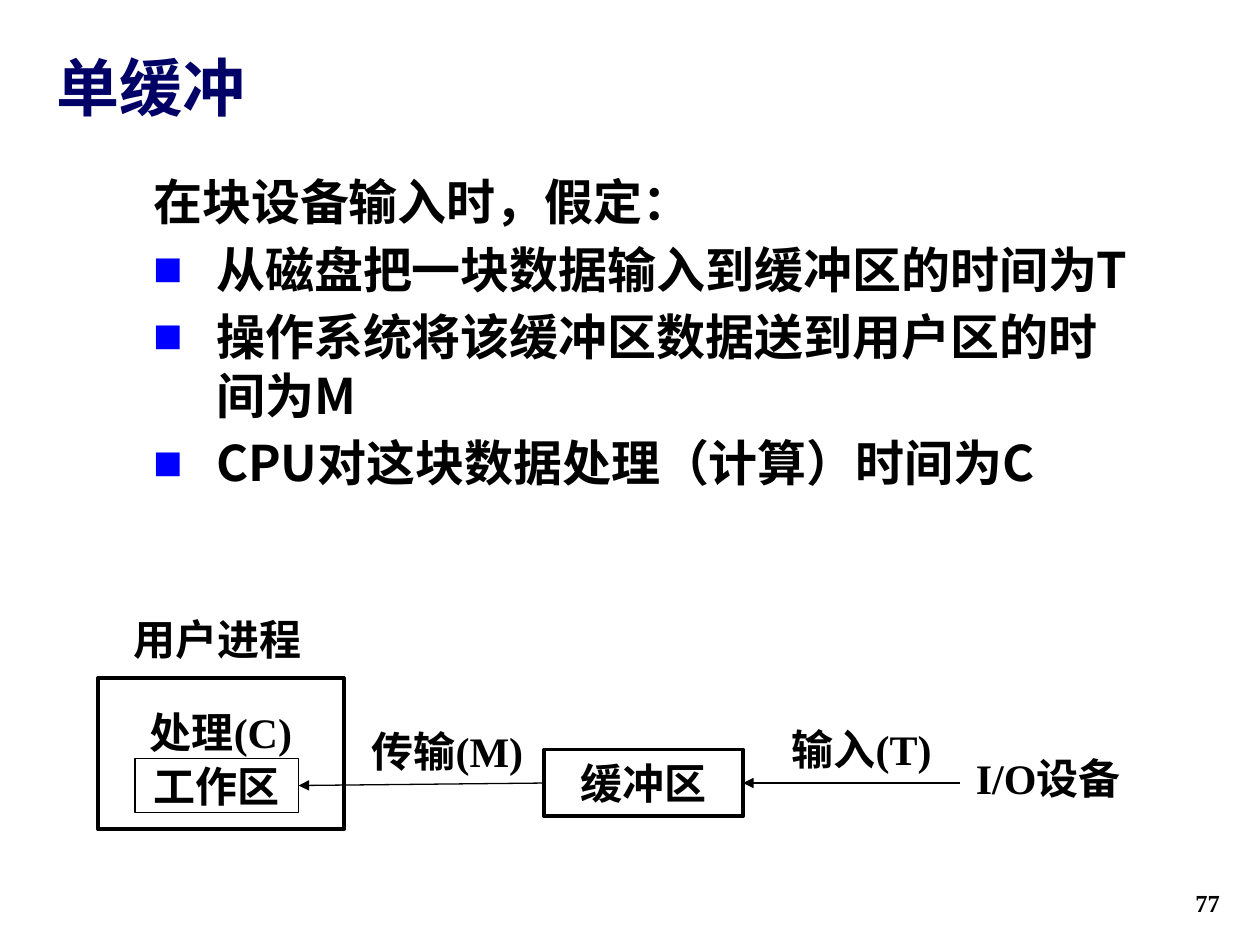
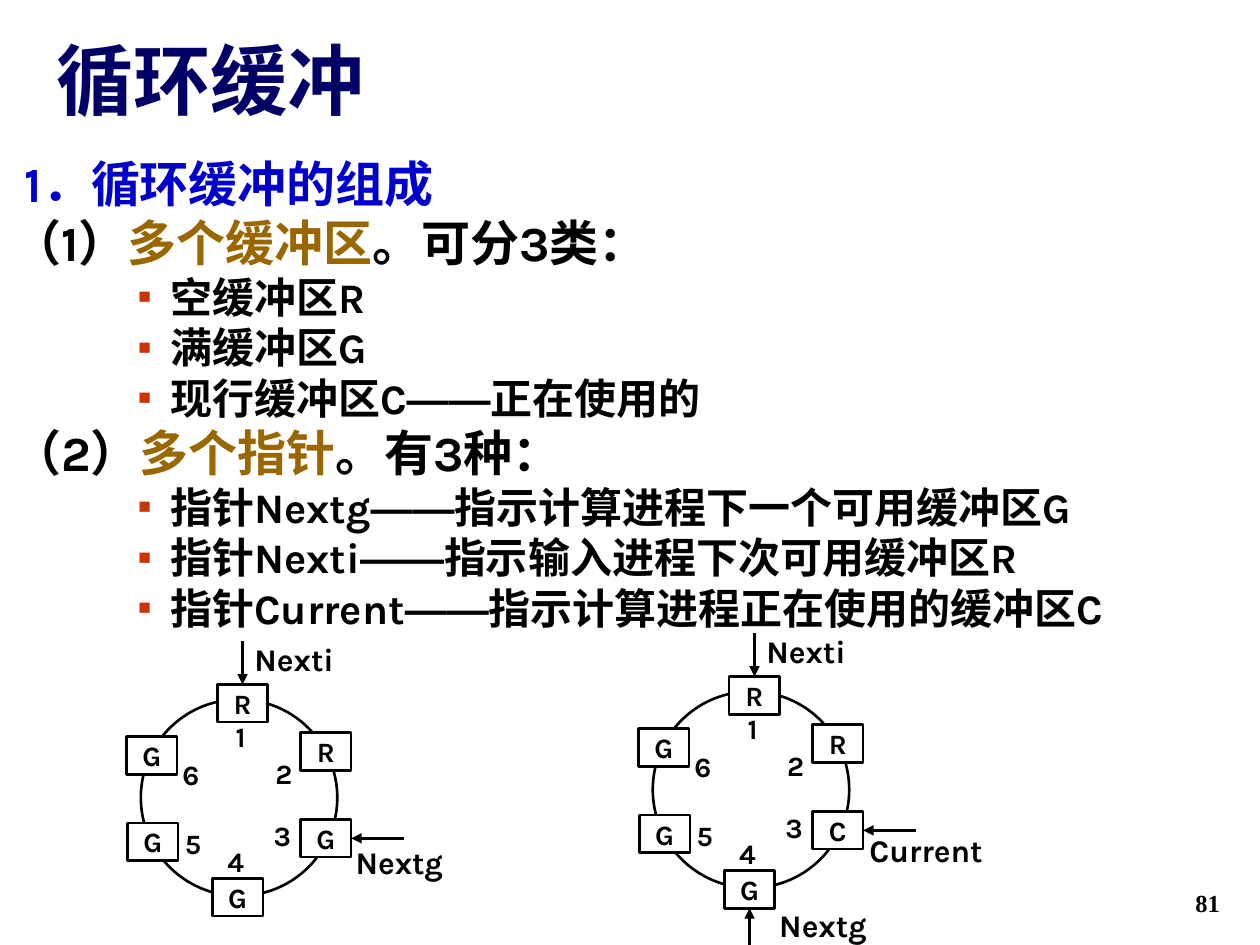
import pptx
import pptx.util
import pptx.dml.color
import pptx.enum.shapes
import pptx.enum.text
import pptx.oxml.ns
import lxml.etree

Cm, Pt = pptx.util.Cm, pptx.util.Pt
ALIGN = pptx.enum.text.PP_ALIGN
ANCHOR = pptx.enum.text.MSO_ANCHOR
SHAPE = pptx.enum.shapes.MSO_SHAPE

COLORS = {
    "title": "000066", "text": "000000", "paper": "FFFFFF",
    "heading": "0000CC", "key": "996600",
    "bullet_blue": "0000FF", "bullet_red": "CC3300",
}
CJK, KARLA, TIMES = "Noto Sans CJK SC", "Karla", "Times New Roman"
LINE_PITCH = 1.2  # line height as a multiple of the text size
TOP, LEFT, BOTTOM, RIGHT = range(4)  # connection sites of a rectangle

# Ring of buffers, in cm from the top left corner of the circle
RING = 3.96
NODE_W, NODE_H = 1.02, 0.76
NODES = [(1.54, -0.3), (3.22, 0.67), (3.22, 2.42),
         (1.44, 3.61), (-0.27, 2.49), (-0.29, 0.75)]
NUMBERS = [(1.54, 0.38), (2.41, 1.12), (2.38, 2.37),
           (1.44, 2.9), (0.58, 2.54), (0.54, 1.14)]
# Node side: x and y step from the side to the start of its arrow
POINTER_STEP = {TOP: (0, -0.88), RIGHT: (1.07, 0), BOTTOM: (0, 0.76)}


def rgb(name):
    return pptx.dml.color.RGBColor.from_string(COLORS[name])


def sub(parent, tag, **attrs):
    return lxml.etree.SubElement(parent, pptx.oxml.ns.qn(tag), **attrs)


# Text
def add_run(p, text, size, font, color="text"):
    r = p.add_run()
    r.text = text
    r.font.size, r.font.bold, r.font.name = Pt(size), True, font
    r.font.color.rgb = rgb(color)
    sub(r._r.get_or_add_rPr(), "a:ea", typeface=CJK)


def set_frame(tf, anchor=ANCHOR.TOP, inset=(0.05, 0.03), wrap=True):
    tf.word_wrap = wrap
    tf.vertical_anchor = anchor
    tf.margin_left = tf.margin_right = Cm(inset[0])
    tf.margin_top = tf.margin_bottom = Cm(inset[1])


def add_text(s, x, y, w, h, **frame):
    tf = s.shapes.add_textbox(Cm(x), Cm(y), Cm(w), Cm(h)).text_frame
    set_frame(tf, **frame)
    return tf


def add_paragraph(tf, size, margin, hang, before=0, bullet=None, scale=100):
    """Start a paragraph with a hanging indent and, if asked, a square bullet."""
    p = tf.add_paragraph() if tf.paragraphs[0].runs else tf.paragraphs[0]
    p.line_spacing, p.space_before = Pt(size * LINE_PITCH), Pt(before)
    pPr = p._p.get_or_add_pPr()
    pPr.set("marL", str(Cm(margin)))
    pPr.set("indent", str(-Cm(hang)))
    if bullet:
        sub(sub(pPr, "a:buClr"), "a:srgbClr", val=COLORS[bullet])
        sub(pPr, "a:buSzPct", val=str(scale * 1000))
        sub(pPr, "a:buFont", typeface="Arial")
        sub(pPr, "a:buChar", char="■")
    return p


def set_centered(tf, text, size, font):
    p = tf.paragraphs[0]
    p.alignment = ALIGN.CENTER
    if font == TIMES:
        p.line_spacing = Pt(size * LINE_PITCH)
    add_run(p, text, size, font)


def add_label(s, text, x, y, w, h, size, font):
    set_centered(add_text(s, x, y, w, h), text, size, font)


# Shapes
def add_outline(s, kind, x, y, w, h, weight, fill=None):
    sp = s.shapes.add_shape(kind, Cm(x), Cm(y), Cm(w), Cm(h))
    sp.shadow.inherit = False
    if fill:
        sp.fill.solid()
        sp.fill.fore_color.rgb = rgb(fill)
    else:
        sp.fill.background()
    sp.line.color.rgb, sp.line.width = rgb("text"), Pt(weight)
    return sp


def add_box(s, text, x, y, w, h, weight, size, font, fill=None):
    sp = add_outline(s, SHAPE.RECTANGLE, x, y, w, h, weight, fill)
    set_frame(sp.text_frame, anchor=ANCHOR.MIDDLE, wrap=False)
    set_centered(sp.text_frame, text, size, font)
    return sp


def add_arrow(s, start, target, side, weight):
    """Draw an arrow from a point (in EMU) to one side of the target box."""
    line = s.shapes.add_connector(
        pptx.enum.shapes.MSO_CONNECTOR.STRAIGHT, *start, *start)
    line.end_connect(target, side)
    line.line.color.rgb, line.line.width = rgb("text"), Pt(weight)
    sub(line.line._get_or_add_ln(), "a:tailEnd", type="triangle")
    sub(line._element.spPr, "a:effectLst")
    return line


def side_point(sp, side):
    mid_x, mid_y = sp.left + sp.width // 2, sp.top + sp.height // 2
    return {TOP: (mid_x, sp.top), LEFT: (sp.left, mid_y),
            BOTTOM: (mid_x, sp.top + sp.height),
            RIGHT: (sp.left + sp.width, mid_y)}[side]


# Slide frame: title and page number
def add_slide(prs, title, size, font, number):
    s = prs.slides.add_slide(prs.slide_layouts[5])
    sp = s.shapes.title
    sp.left, sp.top, sp.width, sp.height = Cm(0.89), Cm(0.58), Cm(23.95), Cm(1.93)
    set_frame(sp.text_frame, anchor=ANCHOR.BOTTOM, inset=(0.25, 0))
    sp.text_frame.auto_size = pptx.enum.text.MSO_AUTO_SIZE.NONE
    p = sp.text_frame.paragraphs[0]
    p.alignment = ALIGN.LEFT
    add_run(p, title, size, font, "title")

    tf = add_text(s, 19.56, 17.35, 5.28, 1.27,
                  anchor=ANCHOR.BOTTOM, inset=(0.25, 0.13))
    tf.paragraphs[0].alignment = ALIGN.RIGHT
    add_run(tf.paragraphs[0], str(number), 14, TIMES)
    return s


def add_single_buffer_slide(prs):
    s = add_slide(prs, "单缓冲", 36, CJK, 77)

    # Assumptions
    tf = add_text(s, 0.3, 3.33, 23.04, 6.96, inset=(0.25, 0.13))
    for text, bullet in [
            ("在块设备输入时，假定：", None),
            ("从磁盘把一块数据输入到缓冲区的时间为T", "bullet_blue"),
            ("操作系统将该缓冲区数据送到用户区的时间为M", "bullet_blue"),
            ("CPU对这块数据处理（计算）时间为C", "bullet_blue")]:
        p = add_paragraph(tf, 28, 3.81, 1.27 if bullet else 1.27, 5, bullet)
        if not bullet:
            p._p.get_or_add_pPr().set("marL", str(Cm(2.54)))
            p._p.get_or_add_pPr().set("indent", "0")
        add_run(p, text, 28, CJK)

    # User process with its work area, and the buffer
    process = add_box(s, "处理(C)", 1.98, 13.67, 4.95, 3.05, 2.25, 24, TIMES)
    process.text_frame.vertical_anchor = ANCHOR.TOP
    process.text_frame.margin_top = Cm(0.57)
    work = add_box(s, "工作区", 2.72, 15.29, 3.3, 1.09, 0.75, 24, TIMES)
    buffer = add_box(s, "缓冲区", 10.97, 15.11, 4.01, 1.35, 2.25, 24, TIMES)

    # Data flow
    device_x = Cm(19.35)
    add_arrow(s, (device_x, side_point(buffer, RIGHT)[1]), buffer, RIGHT, 0.75)
    transfer = add_arrow(s, side_point(buffer, LEFT), work, RIGHT, 0.75)
    transfer.begin_connect(buffer, LEFT)

    for text, x, y, w in [("用户进程", 1.78, 12.34, 5.21),
                          ("I/O设备", 19.15, 15.14, 3.96),
                          ("输入(T)", 15.39, 14.55, 3.96),
                          ("传输(M)", 7.04, 14.6, 3.96)]:
        add_label(s, text, x, y, w, 1.07, 24, TIMES)


def add_ring(s, x, y, states, pointers):
    """Draw six buffers on a circle; pointers are (name, node, side, dx, dy, w)."""
    add_outline(s, SHAPE.OVAL, x, y, RING, RING, 1.5)
    nodes = [add_box(s, state, x + dx, y + dy, NODE_W, NODE_H, 1.5, 16, KARLA, "paper")
             for state, (dx, dy) in zip(states, NODES)]
    for number, (dx, dy) in enumerate(NUMBERS, 1):
        add_label(s, str(number), x + dx, y + dy, 0.94, 0.74, 16, KARLA)
    for name, number, side, dx, dy, w in pointers:
        node = nodes[number - 1]
        start = [a + Cm(b) for a, b in zip(side_point(node, side), POINTER_STEP[side])]
        add_arrow(s, start, node, side, 1.5)
        add_label(s, name, x + dx, y + dy, w, 0.81, 18, KARLA)


def add_ring_buffer_slide(prs):
    s = add_slide(prs, "循环缓冲", 44, KARLA, 81)

    # Outline: headings as coloured pieces, each with its list of items
    tf = add_text(s, 0, 2.97, 24.38, 9.93, inset=(0.25, 0.13))
    sections = [
        ([(" 1．循环缓冲的组成", "heading")], []),
        ([("（1）", "text"), ("多个缓冲区", "key"), ("。可分3类：", "text")],
         ["空缓冲区R", "满缓冲区G", "现行缓冲区C——正在使用的"]),
        ([("（2）", "text"), ("多个指针", "key"), ("。有3种：", "text")],
         ["指针Nextg——指示计算进程下一个可用缓冲区G",
          "指针Nexti——指示输入进程下次可用缓冲区R",
          "指针Current——指示计算进程正在使用的缓冲区C"]),
    ]
    for heading, items in sections:
        p = add_paragraph(tf, 28, 0.95, 0.95)
        for text, color in heading:
            add_run(p, text, 28, KARLA, color)
        for item in items:
            p = add_paragraph(tf, 24, 3.18, 0.64, bullet="bullet_red", scale=50)
            for text in filter(None, item.partition("——")):
                add_run(p, text, 24, "Arial" if text == "——" else KARLA)

    # Rings before and after a buffer is taken into use
    next_input = ("Nexti", 1, TOP, 1.73, -1.22, 2.72)
    add_ring(s, 2.84, 14.1, "RRGGGG",
             [next_input, ("Nextg", 3, RIGHT, 4.04, 2.87, 2.34)])
    add_ring(s, 13.16, 13.94, "RRCGGG",
             [next_input, ("Current", 3, RIGHT, 4.14, 2.79, 2.74),
              ("Nextg", 4, BOTTOM, 2.26, 4.29, 2.34)])


def main():
    prs = pptx.Presentation()
    prs.slide_width, prs.slide_height = Cm(25.4), Cm(19.05)
    add_single_buffer_slide(prs)
    add_ring_buffer_slide(prs)
    prs.save("out.pptx")


if __name__ == "__main__":
    main()
